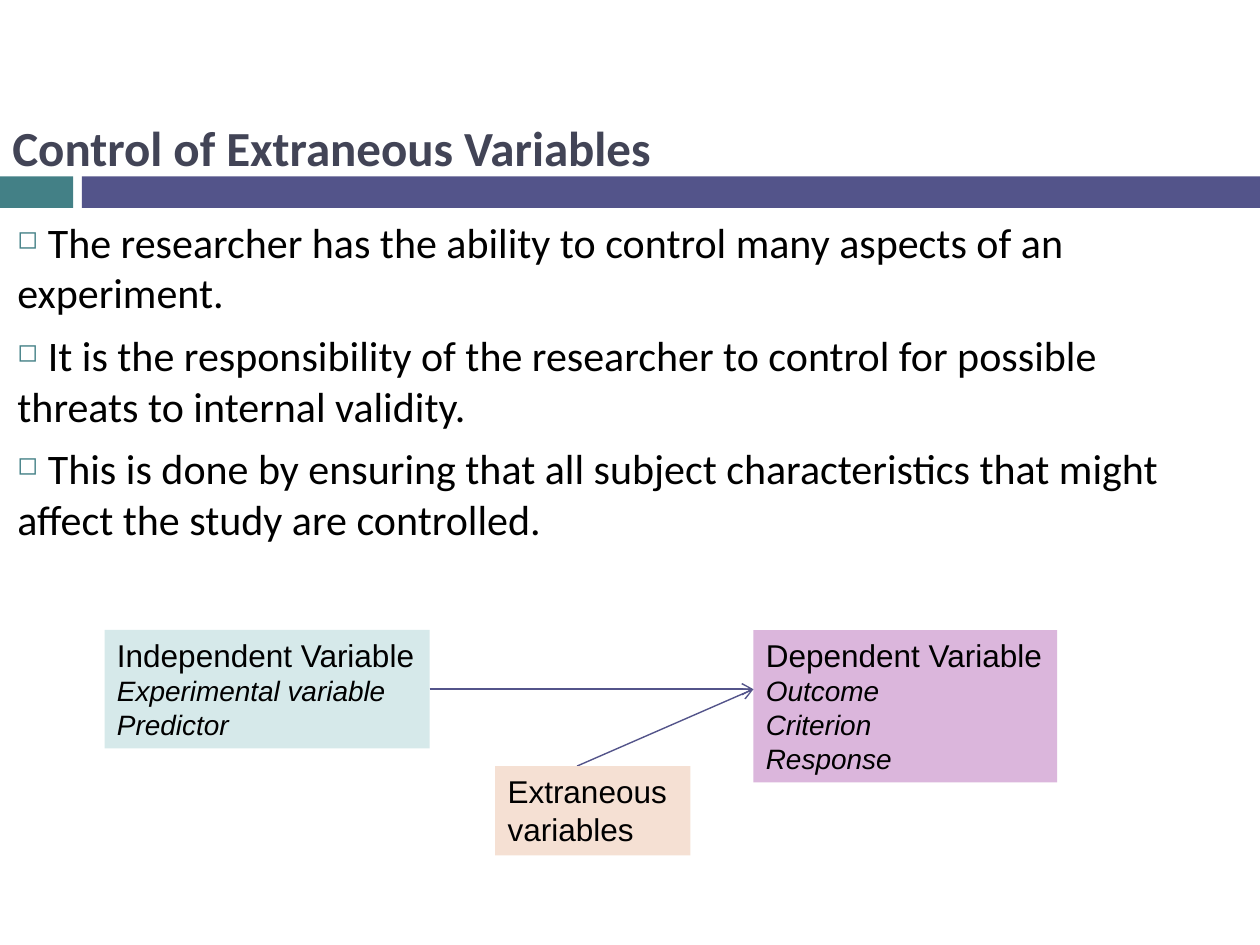
from dataclasses import dataclass

from lxml import etree
from pptx import Presentation
from pptx.dml.color import RGBColor
from pptx.enum import shapes, text
from pptx.oxml import ns
from pptx.util import Inches, Pt

TEAL = RGBColor(0x43, 0x80, 0x86)
INDIGO = RGBColor(0x53, 0x54, 0x8A)
SLATE = RGBColor(0x42, 0x44, 0x56)
BLACK = RGBColor(0, 0, 0)
PALE_TEAL = RGBColor(0xD6, 0xE9, 0xEA)
LILAC = RGBColor(0xDB, 0xB6, 0xDC)
PEACH = RGBColor(0xF5, 0xE0, 0xD3)

AIMS = (
    "The researcher has the ability to control many aspects of an experiment.",
    "It is the responsibility of the researcher to control for possible "
    "threats to internal validity.",
    "This is done by ensuring that all subject characteristics that might "
    "affect the study are controlled.",
)


@dataclass(frozen=True)
class Area:
    left: float
    top: float
    width: float
    height: float

    def lengths(self):
        return tuple(map(Inches, (self.left, self.top, self.width, self.height)))


@dataclass(frozen=True)
class Variable:
    area: Area
    fill: RGBColor
    names: tuple[str, ...]
    synonyms: tuple[str, ...] = ()


INDEPENDENT = Variable(Area(0.83, 5, 2.58, 0.94), PALE_TEAL,
                       ("Independent Variable",),
                       ("Experimental variable", "Predictor"))
DEPENDENT = Variable(Area(5.98, 5, 2.41, 1.21), LILAC,
                     ("Dependent Variable",),
                     ("Outcome", "Criterion", "Response"))
EXTRANEOUS = Variable(Area(3.93, 6.08, 1.55, 0.71), PEACH,
                      ("Extraneous", "variables"))


def add_run(paragraph, wording: str, size: float, font: str,
            color: RGBColor = BLACK, bold: bool = False, italic: bool = False):
    run = paragraph.add_run()
    run.text = wording
    run.font.size = Pt(size)
    run.font.name = font
    run.font.color.rgb = color
    run.font.bold = bold
    run.font.italic = italic


def paragraph_at(frame, index: int):
    """Return the frame's first paragraph for index 0, else a new one."""
    return frame.add_paragraph() if index else frame.paragraphs[0]


def add_rectangle(slide, area: Area, fill: RGBColor):
    rectangle = slide.shapes.add_shape(shapes.MSO_SHAPE.RECTANGLE, *area.lengths())
    rectangle.shadow.inherit = False
    rectangle.fill.solid()
    rectangle.fill.fore_color.rgb = fill
    rectangle.line.fill.background()
    return rectangle


def add_text_frame(slide, area: Area, anchor):
    frame = slide.shapes.add_textbox(*area.lengths()).text_frame
    frame.word_wrap = True
    frame.vertical_anchor = anchor
    return frame


def add_bullet(paragraph):
    properties = paragraph._p.get_or_add_pPr()
    properties.set("marL", "0")
    properties.set("indent", "0")
    color = etree.SubElement(properties, ns.qn("a:buClr"))
    etree.SubElement(color, ns.qn("a:srgbClr"), val=str(TEAL))
    etree.SubElement(properties, ns.qn("a:buSzPct"), val="60000")
    etree.SubElement(properties, ns.qn("a:buChar"), char="◻")


def add_variable(slide, variable: Variable):
    box = add_rectangle(slide, variable.area, variable.fill)
    frame = box.text_frame
    frame.word_wrap = False
    frame.auto_size = text.MSO_AUTO_SIZE.SHAPE_TO_FIT_TEXT
    frame.vertical_anchor = text.MSO_ANCHOR.TOP
    for index, wording in enumerate(variable.names + variable.synonyms):
        synonym = index >= len(variable.names)
        paragraph = paragraph_at(frame, index)
        paragraph.alignment = text.PP_ALIGN.LEFT
        add_run(paragraph, wording, 16 if synonym else 18, "Arial", italic=synonym)
    return box


def add_arrow(slide, start: tuple[float, float], end: tuple[float, float]):
    arrow = slide.shapes.add_connector(shapes.MSO_CONNECTOR.STRAIGHT,
                                       *map(Inches, start + end))
    arrow.line.color.rgb = INDIGO
    arrow.line.width = Pt(0.79)
    etree.SubElement(arrow.line._get_or_add_ln(), ns.qn("a:tailEnd"), type="arrow")
    etree.SubElement(arrow._element.spPr, ns.qn("a:effectLst"))
    return arrow


def main():
    presentation = Presentation()
    presentation.slide_width = Inches(10)
    presentation.slide_height = Inches(7.5)
    slide = presentation.slides.add_slide(presentation.slide_layouts[6])

    add_rectangle(slide, Area(0, 1.4, 0.58, 0.25), TEAL)
    add_rectangle(slide, Area(0.65, 1.4, 9.35, 0.25), INDIGO)

    title = add_text_frame(slide, Area(0, 0.75, 10, 0.83), text.MSO_ANCHOR.MIDDLE)
    add_run(title.paragraphs[0], "Control of Extraneous Variables", 28, "Calibri",
            SLATE, bold=True)

    body = add_text_frame(slide, Area(0.04, 1.67, 9.5, 3.04), text.MSO_ANCHOR.TOP)
    for index, aim in enumerate(AIMS):
        paragraph = paragraph_at(body, index)
        paragraph.space_before = Pt(7)
        add_bullet(paragraph)
        add_run(paragraph, f" {aim}", 24, "Calibri")

    independent = add_variable(slide, INDEPENDENT)
    add_variable(slide, DEPENDENT)
    effect_point = (5.98, 5.47)
    main_effect = add_arrow(slide, (3.41, 5.47), effect_point)
    main_effect.begin_connect(independent, 3)
    add_arrow(slide, (4.58, 6.08), effect_point)
    add_variable(slide, EXTRANEOUS)

    presentation.save("out.pptx")


if __name__ == "__main__":
    main()
